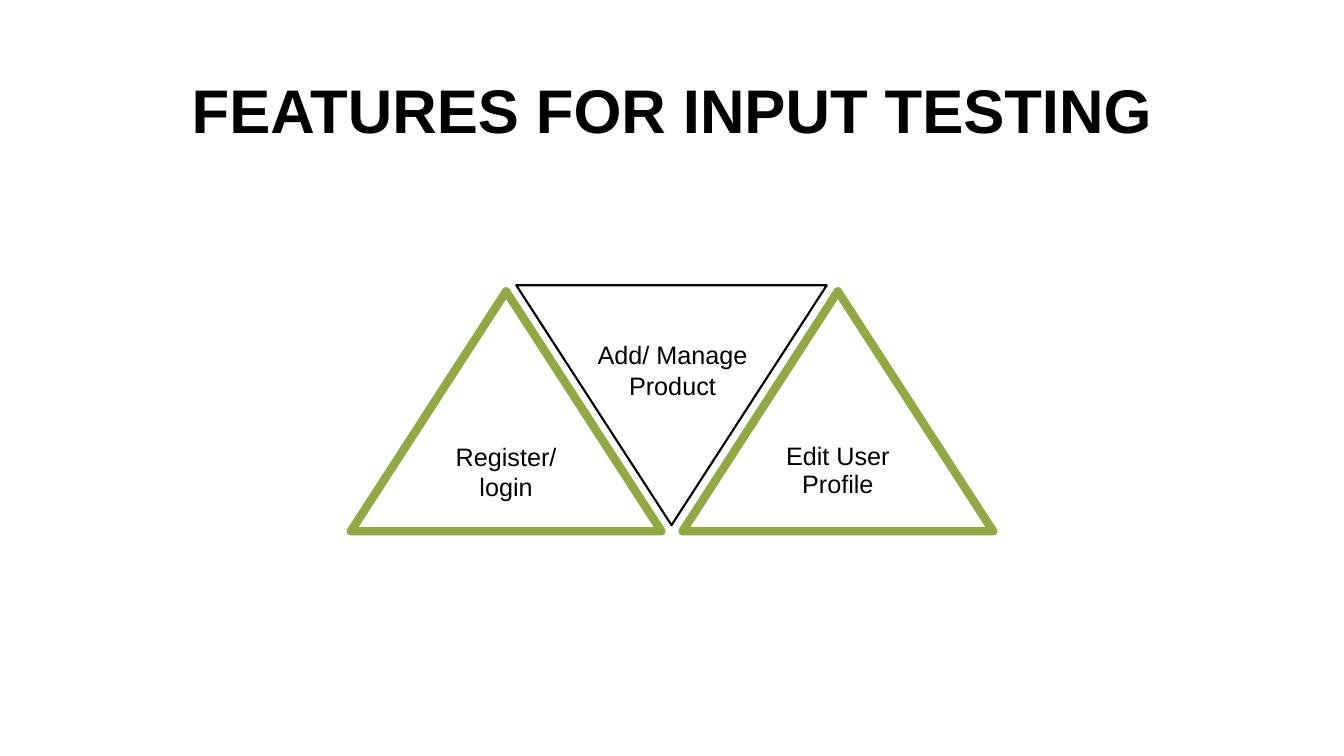
import pptx
import pptx.util
import pptx.dml.color
import pptx.enum.shapes
import pptx.enum.text
import lxml.etree
import pptx.oxml.ns

Inches = pptx.util.Inches
Pt = pptx.util.Pt
BLACK = pptx.dml.color.RGBColor(0x00, 0x00, 0x00)
WHITE = pptx.dml.color.RGBColor(0xFF, 0xFF, 0xFF)
GREEN = pptx.dml.color.RGBColor(0x92, 0xA8, 0x43)
TRIANGLE_W, TRIANGLE_H = 3.08, 2.38


def add_text(sp, text, size, anchor, bold=False, spacing=None):
    tf = sp.text_frame
    tf.word_wrap = True
    tf.vertical_anchor = anchor
    p = tf.paragraphs[0]
    p.alignment = pptx.enum.text.PP_ALIGN.CENTER
    p.line_spacing = spacing
    r = p.add_run()
    r.text = text
    r.font.name = "Arial"
    r.font.size = Pt(size)
    r.font.bold = bold
    r.font.color.rgb = BLACK


prs = pptx.Presentation()
prs.slide_width = Inches(13.33)
prs.slide_height = Inches(7.5)
s = prs.slides.add_slide(prs.slide_layouts[6])
top = pptx.enum.text.MSO_ANCHOR.TOP
middle = pptx.enum.text.MSO_ANCHOR.MIDDLE

title = s.shapes.add_textbox(Inches(0.92), Inches(0.66), Inches(11.5), Inches(1.45))
add_text(title, "FEATURES FOR INPUT TESTING", 44, top, bold=True)

triangles = [
    (3.48, 2.89, 0, GREEN, 6, "Register/ login", None),
    (6.77, 2.89, 0, GREEN, 6, "Edit User Profile", 0.9),
    (5.12, 2.83, 180, BLACK, 1.5, None, None),
]
for x, y, rotation, color, width, label, spacing in triangles:
    sp = s.shapes.add_shape(
        pptx.enum.shapes.MSO_SHAPE.ISOSCELES_TRIANGLE,
        Inches(x), Inches(y), Inches(TRIANGLE_W), Inches(TRIANGLE_H))
    sp.rotation = rotation
    sp.shadow.inherit = False
    sp.fill.solid()
    sp.fill.fore_color.rgb = WHITE
    sp.line.color.rgb = color
    sp.line.width = Pt(width)
    ln = sp.line.fill._xPr
    lxml.etree.SubElement(ln, pptx.oxml.ns.qn("a:round"))
    if label:
        add_text(sp, label, 18, middle, spacing=spacing)

product = s.shapes.add_textbox(Inches(5.79), Inches(3.32), Inches(1.76), Inches(0.71))
add_text(product, "Add/ Manage Product", 18, top)
product.text_frame.auto_size = pptx.enum.text.MSO_AUTO_SIZE.SHAPE_TO_FIT_TEXT

prs.save("out.pptx")
